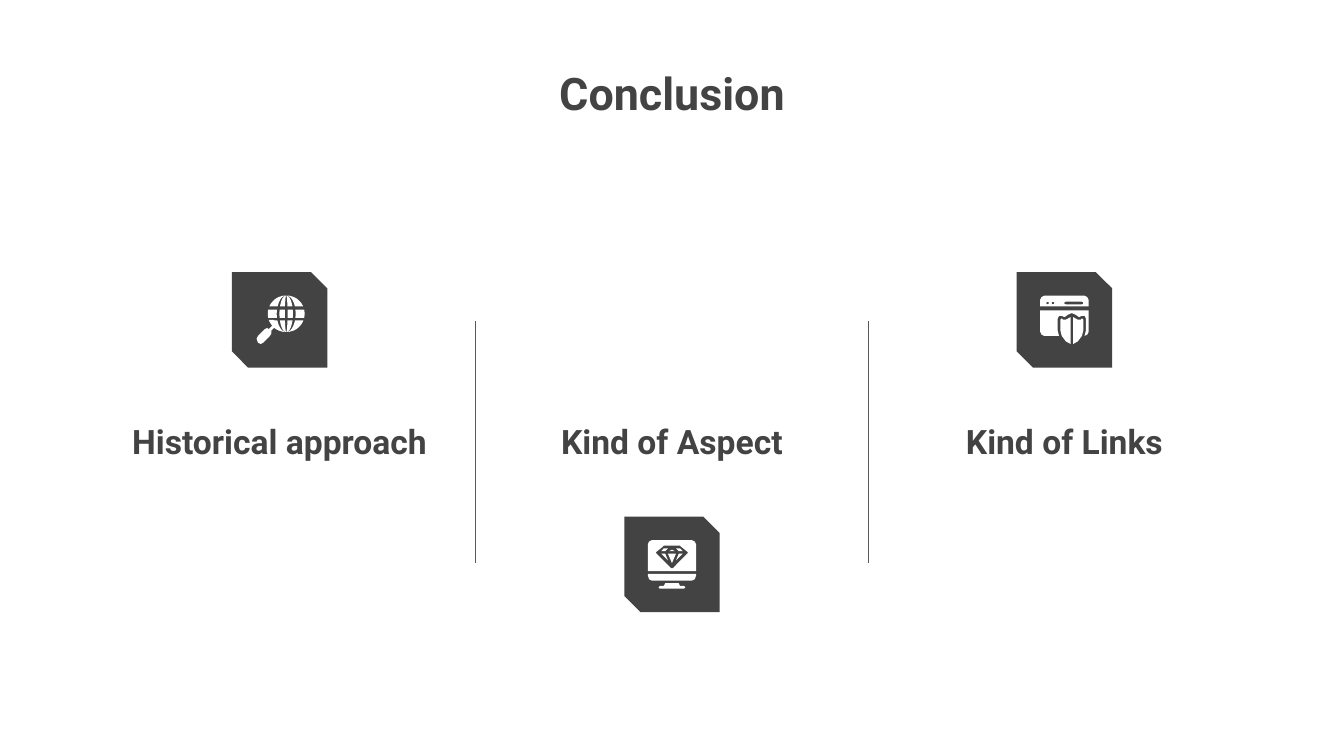
"""Build the conclusion slide: three headed columns with icon badges."""
import math

from lxml import etree
from pptx import Presentation
from pptx import util as u
from pptx.dml.color import RGBColor
from pptx.enum import shapes, text
from pptx.oxml.ns import qn

COLORS = {"dark": "434343", "divider": "595959", "white": "FFFFFF"}
COLUMN_LEFT, COLUMN_WIDTH = 0.62, 2.92
BADGE_SIZE = 0.71
UPPER_ROW, LOWER_ROW = 2.38, 4.2


def mirrored(half, axis=0):
    return half + [(2 * axis - x, y) for x, y in reversed(half)]


def write_heading(placeholder, words, box, size, anchor):
    placeholder.left, placeholder.top, placeholder.width, placeholder.height = map(u.Inches, box)
    frame = placeholder.text_frame
    frame.word_wrap = True
    frame.auto_size = text.MSO_AUTO_SIZE.NONE
    frame.vertical_anchor = anchor
    frame.margin_left = frame.margin_right = u.Inches(0.1)
    frame.margin_top = frame.margin_bottom = u.Inches(0.1)
    paragraph = frame.paragraphs[0]
    paragraph.alignment = text.PP_ALIGN.CENTER
    paragraph.line_spacing = 1.0
    paragraph.space_before = u.Pt(0)
    properties = paragraph._p.get_or_add_pPr()
    properties.set("marL", "0")
    properties.set("indent", "0")
    etree.SubElement(properties, qn("a:buNone"))
    run = paragraph.add_run()
    run.text = words
    run.font.name = "Roboto"
    run.font.size = u.Pt(size)
    run.font.bold = True
    run.font.color.rgb = RGBColor.from_string(COLORS["dark"])


presentation = Presentation()
presentation.slide_width = u.Inches(10)
presentation.slide_height = presentation.slide_width * 9 // 16
slide = presentation.slides.add_slide(presentation.slide_layouts[4])
slide.background.fill.solid()
slide.background.fill.fore_color.rgb = RGBColor.from_string(COLORS["white"])

write_heading(slide.shapes.title, "Conclusion", (2.15, 0.39, 5.7, 1.03), 24, text.MSO_ANCHOR.TOP)
for column, words in enumerate(["Historical approach", "Kind of Aspect", "Kind of Links"]):
    box = (COLUMN_LEFT + column * COLUMN_WIDTH, 3.06, COLUMN_WIDTH, 0.47)
    write_heading(slide.placeholders[column + 1], words, box, 18, text.MSO_ANCHOR.BOTTOM)
for placeholder in list(slide.placeholders):
    if not placeholder.text_frame.text:
        placeholder.element.getparent().remove(placeholder.element)

for column in (1, 2):
    x = u.Inches(COLUMN_LEFT + column * COLUMN_WIDTH)
    divider = slide.shapes.add_connector(
        shapes.MSO_CONNECTOR.STRAIGHT, x, u.Inches(2.39), x, u.Inches(4.19))
    divider.line.color.rgb = RGBColor.from_string(COLORS["divider"])
    divider.line.width = u.Pt(0.75)
    etree.SubElement(divider._element.spPr, qn("a:effectLst"))

globe_x, globe_y, globe_radius = 5, -4.5, 13.7
globe = [[[(-8, 0), (-5, 4), (-8, 7), (-9, 6), (-11, 7), (-16, 12), (-17, 14), (-16, 17),
           (-14, 18), (-12, 17), (-7, 12), (-6, 10), (-6, 8), (-4, 6), (-1, 7), (-3, 3),
           (-4, 0)]]]
for top, bottom in [(-13.5, -5.5), (-3, 3), (5, 13.5)]:
    heights = [top + (bottom - top) * step / 8 for step in range(9)]
    for left, right in [(-13.7, -7), (-5, -1), (1, 5), (7, 13.7)]:
        edges = [[(globe_x + reach * math.sqrt(1 - (y / globe_radius) ** 2), globe_y + y)
                  for y in heights] for reach in (left, right)]
        globe.append([edges[0] + edges[1][::-1]])

dots = [[(x + math.cos(k * math.pi / 4), -12.5 + math.sin(k * math.pi / 4)) for k in range(8)]
        for x in (-12.5, -8.5)]
shield_half = [(4.5, -2), (1, 0), (-1, 0), (-2, -1), (-3, 0), (-3, 8), (-2, 12), (1, 16), (4.5, 18)]
browser = [
    [mirrored([(-18, -10), (-18, -15), (-17, -17), (-15, -18)]), *dots,
     mirrored([(1, -11.5), (0, -12), (0, -13), (1, -13.5)], 7)],
    [[(-18, -7), (-18, 9), (-17, 11), (-15, 12), (-4, 12), (-5, 8), (-5, -1), (-4, -3),
      (-2, -3), (0, -2), (3, -4), (5.5, -5), (8, -4), (11, -2), (13, -3), (15, -3), (16, -1),
      (16, 8), (15, 12), (17, 11), (18, 9), (18, -7)]],
    [shield_half],
    [[(11 - x, y) for x, y in shield_half]],
]

gem_sides = [[(-6, -12), (-8, -10), (-5, -10), (-3, -12)], [(-8, -8), (-3, -3), (-5, -8)]]
monitor = [
    [mirrored([(-18, 5), (-18, -15), (-17, -17), (-15, -18)]),
     mirrored([(-6, -14), (-7, -13), (-12, -9), (-11.5, -8), (-1, 2.5), (0, 3)])],
    [mirrored([(-18, 7), (-18, 8), (-17, 11), (-15, 12)])],
    [mirrored([(-5, 14), (-6, 16), (-9, 16), (-10, 17), (-9, 18)])],
    [[(0, -11), (-2, -10), (2, -10)]],
    [[(-3, -8), (0, -1), (3, -8)]],
    *[[[(side * x, y) for x, y in facet]] for facet in gem_sides for side in (1, -1)],
]

for column, (center_y, icon) in enumerate(
        [(UPPER_ROW, globe), (LOWER_ROW, monitor), (UPPER_ROW, browser)]):
    center_x = COLUMN_LEFT + (column + 0.5) * COLUMN_WIDTH
    badge = slide.shapes.add_shape(
        shapes.MSO_SHAPE.SNIP_2_DIAG_RECTANGLE,
        u.Inches(center_x - BADGE_SIZE / 2), u.Inches(center_y - BADGE_SIZE / 2),
        u.Inches(BADGE_SIZE), u.Inches(BADGE_SIZE))
    badge.adjustments[0], badge.adjustments[1] = 0, 0.17
    badge.shadow.inherit = False
    badge.fill.solid()
    badge.fill.fore_color.rgb = RGBColor.from_string(COLORS["dark"])
    badge.line.fill.background()
    group = slide.shapes.add_group_shape()
    for contours in icon:
        outlines = [[(x * 100, y * 100) for x, y in contour] for contour in contours]
        builder = group.shapes.build_freeform(*outlines[0][0], scale=u.Inches(0.01) / 100)
        builder.add_line_segments(outlines[0][1:], close=True)
        for hole in outlines[1:]:
            builder.move_to(*hole[0])
            builder.add_line_segments(hole[1:], close=True)
        piece = builder.convert_to_shape(u.Inches(center_x), u.Inches(center_y))
        piece.shadow.inherit = False
        piece.fill.solid()
        piece.fill.fore_color.rgb = RGBColor.from_string(COLORS["white"])
        piece.line.fill.background()

presentation.save("out.pptx")
